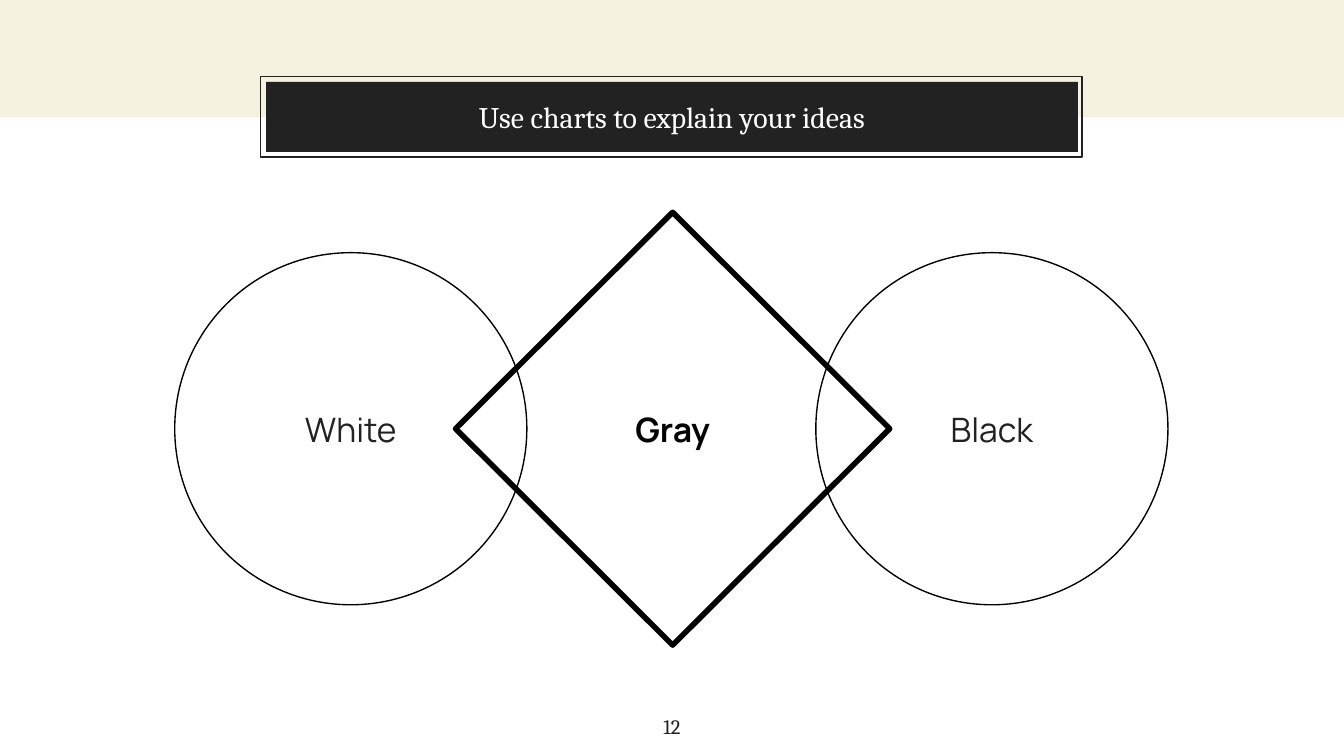
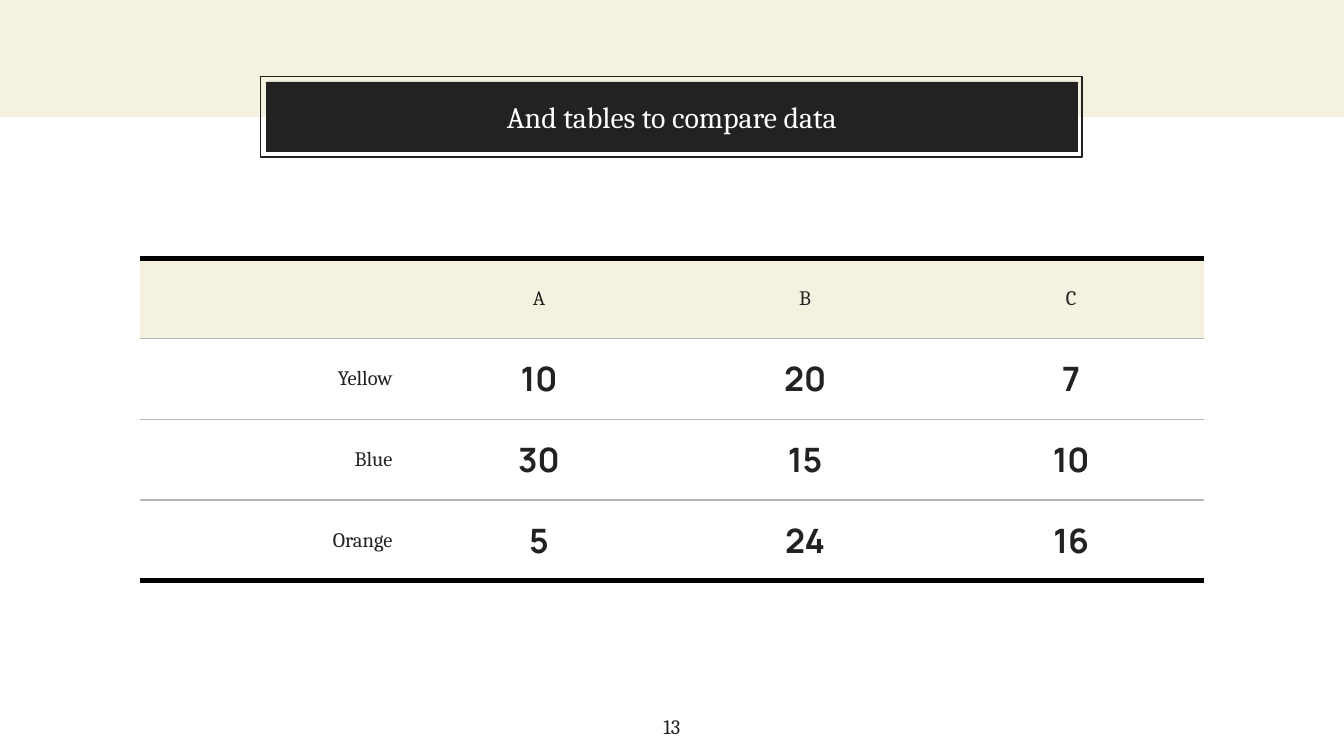
from dataclasses import dataclass
from typing import Optional

from lxml.etree import SubElement
from pptx import Presentation
from pptx.dml.color import RGBColor
from pptx.enum.shapes import MSO_SHAPE
from pptx.enum.text import MSO_ANCHOR, PP_ALIGN
from pptx.oxml.ns import qn
from pptx.util import Inches, Pt

CREAM = RGBColor(0xF5, 0xF1, 0xE0)
INK = RGBColor(0x22, 0x22, 0x22)
BLACK = RGBColor(0x00, 0x00, 0x00)
WHITE = RGBColor(0xFF, 0xFF, 0xFF)
RULE_GRAY = RGBColor(0xB7, 0xB7, 0xB7)

SERIF = "Cambria"
SANS = "Manrope"
THIN, THICK = 0.75, 3


@dataclass(frozen=True)
class Box:
    left: float
    top: float
    width: float
    height: float

    def lengths(self) -> tuple:
        return tuple(Inches(v) for v in (self.left, self.top, self.width, self.height))


@dataclass(frozen=True)
class TextStyle:
    font: str
    size: float
    color: RGBColor = INK
    bold: bool = False
    align: PP_ALIGN = PP_ALIGN.CENTER


@dataclass(frozen=True)
class Figure:
    label: str
    kind: MSO_SHAPE
    box: Box
    line_width: float
    style: TextStyle


TITLE = TextStyle(SERIF, 16, WHITE)
SMALL = TextStyle(SERIF, 11)
ROW_LABEL = TextStyle(SERIF, 11, align=PP_ALIGN.RIGHT)
VALUE = TextStyle(SANS, 18, bold=True)
CIRCLE_LABEL = TextStyle(SANS, 18)
DIAMOND_LABEL = TextStyle(SANS, 18, BLACK, bold=True)

FIGURES = [
    Figure("White", MSO_SHAPE.OVAL, Box(1.3, 1.88, 2.62, 2.62), THIN, CIRCLE_LABEL),
    Figure("Black", MSO_SHAPE.OVAL, Box(6.07, 1.88, 2.62, 2.62), THIN, CIRCLE_LABEL),
    Figure("Gray", MSO_SHAPE.DIAMOND, Box(3.39, 1.58, 3.23, 3.22), THICK, DIAMOND_LABEL),
]

TABLE_ROWS = [
    ["", "A", "B", "C"],
    ["Yellow", "10", "20", "7"],
    ["Blue", "30", "15", "10"],
    ["Orange", "5", "24", "16"],
]
COLUMN_WIDTH, ROW_HEIGHT = 1.98, 0.6


def write_text(text_frame, text: str, style: TextStyle) -> None:
    text_frame.text = text
    paragraph = text_frame.paragraphs[0]
    paragraph.alignment = style.align
    for run in paragraph.runs:
        run.font.name = style.font
        run.font.size = Pt(style.size)
        run.font.bold = style.bold
        run.font.color.rgb = style.color


def set_margins(text_frame) -> None:
    text_frame.word_wrap = True
    text_frame.margin_left = text_frame.margin_right = Inches(0.1)
    text_frame.margin_top = text_frame.margin_bottom = Inches(0.1)


def add_figure(slide, kind: MSO_SHAPE, box: Box, fill: Optional[RGBColor] = None,
               line: Optional[RGBColor] = None, line_width: float = THIN):
    shape = slide.shapes.add_shape(kind, *box.lengths())
    shape.shadow.inherit = False
    if fill is None:
        shape.fill.background()
    else:
        shape.fill.solid()
        shape.fill.fore_color.rgb = fill
    if line is None:
        shape.line.fill.background()
    else:
        shape.line.color.rgb = line
        shape.line.width = Pt(line_width)
        SubElement(shape.line._get_or_add_ln(), qn("a:round"))
    return shape


def add_label(shape, text: str, style: TextStyle) -> None:
    set_margins(shape.text_frame)
    shape.text_frame.vertical_anchor = MSO_ANCHOR.MIDDLE
    write_text(shape.text_frame, text, style)


def add_base_slide(presentation):
    """Add a slide with the cream band and the title frame."""
    slide = presentation.slides.add_slide(presentation.slide_layouts[6])
    slide.background.fill.solid()
    slide.background.fill.fore_color.rgb = WHITE
    add_figure(slide, MSO_SHAPE.RECTANGLE, Box(0, 0, 10, 0.87), fill=CREAM)
    add_figure(slide, MSO_SHAPE.RECTANGLE, Box(1.94, 0.57, 6.11, 0.6), line=INK)
    return slide


def add_title_and_number(slide, title: str, number: int) -> None:
    bar = add_figure(slide, MSO_SHAPE.RECTANGLE, Box(1.98, 0.61, 6.04, 0.52), fill=INK)
    add_label(bar, title, TITLE)
    footer = slide.shapes.add_textbox(*Box(4.7, 5.22, 0.6, 0.33).lengths())
    set_margins(footer.text_frame)
    write_text(footer.text_frame, str(number), SMALL)


def add_border(cell, side: str, color: Optional[RGBColor] = None, width: float = 0) -> None:
    line = SubElement(cell._tc.get_or_add_tcPr(), qn(f"a:ln{side}"), w=str(Pt(width)))
    if color is None:
        SubElement(line, qn("a:noFill"))
    else:
        fill = SubElement(line, qn("a:solidFill"))
        SubElement(fill, qn("a:srgbClr"), val=str(color))


def format_cell(cell, text: str, row: int, column: int) -> None:
    # Borders come before the fill in the cell properties
    last_row = len(TABLE_ROWS) - 1
    outer, inner = (BLACK, THICK), (RULE_GRAY, THIN)
    add_border(cell, "L")
    add_border(cell, "R")
    add_border(cell, "T", *(outer if row == 0 else inner))
    add_border(cell, "B", *(outer if row == last_row else inner))
    if row == 0:
        cell.fill.solid()
        cell.fill.fore_color.rgb = CREAM
    else:
        cell.fill.background()

    cell.vertical_anchor = MSO_ANCHOR.MIDDLE
    cell.margin_left = cell.margin_right = Inches(0.1)
    cell.margin_top = cell.margin_bottom = Inches(0.07)
    if row == 0:
        style = SMALL
    else:
        style = ROW_LABEL if column == 0 else VALUE
    write_text(cell.text_frame, text, style)


def add_data_table(slide) -> None:
    row_count, column_count = len(TABLE_ROWS), len(TABLE_ROWS[0])
    box = Box(1.04, 1.92, COLUMN_WIDTH * column_count, ROW_HEIGHT * row_count)
    table = slide.shapes.add_table(row_count, column_count, *box.lengths()).table
    table.first_row = table.horz_banding = False
    for row, texts in enumerate(TABLE_ROWS):
        for column, text in enumerate(texts):
            format_cell(table.cell(row, column), text, row, column)


def add_figures(slide) -> None:
    for figure in FIGURES:
        shape = add_figure(slide, figure.kind, figure.box, line=BLACK,
                           line_width=figure.line_width)
        add_label(shape, figure.label, figure.style)


def main() -> None:
    presentation = Presentation()
    # Widescreen, 16:9
    presentation.slide_width = Inches(10)
    presentation.slide_height = Inches(10) * 9 // 16

    # Overlapping shapes
    slide = add_base_slide(presentation)
    add_figures(slide)
    add_title_and_number(slide, "Use charts to explain your ideas", 12)

    # Comparison table
    slide = add_base_slide(presentation)
    add_data_table(slide)
    add_title_and_number(slide, "And tables to compare data", 13)

    presentation.save("out.pptx")


if __name__ == "__main__":
    main()
